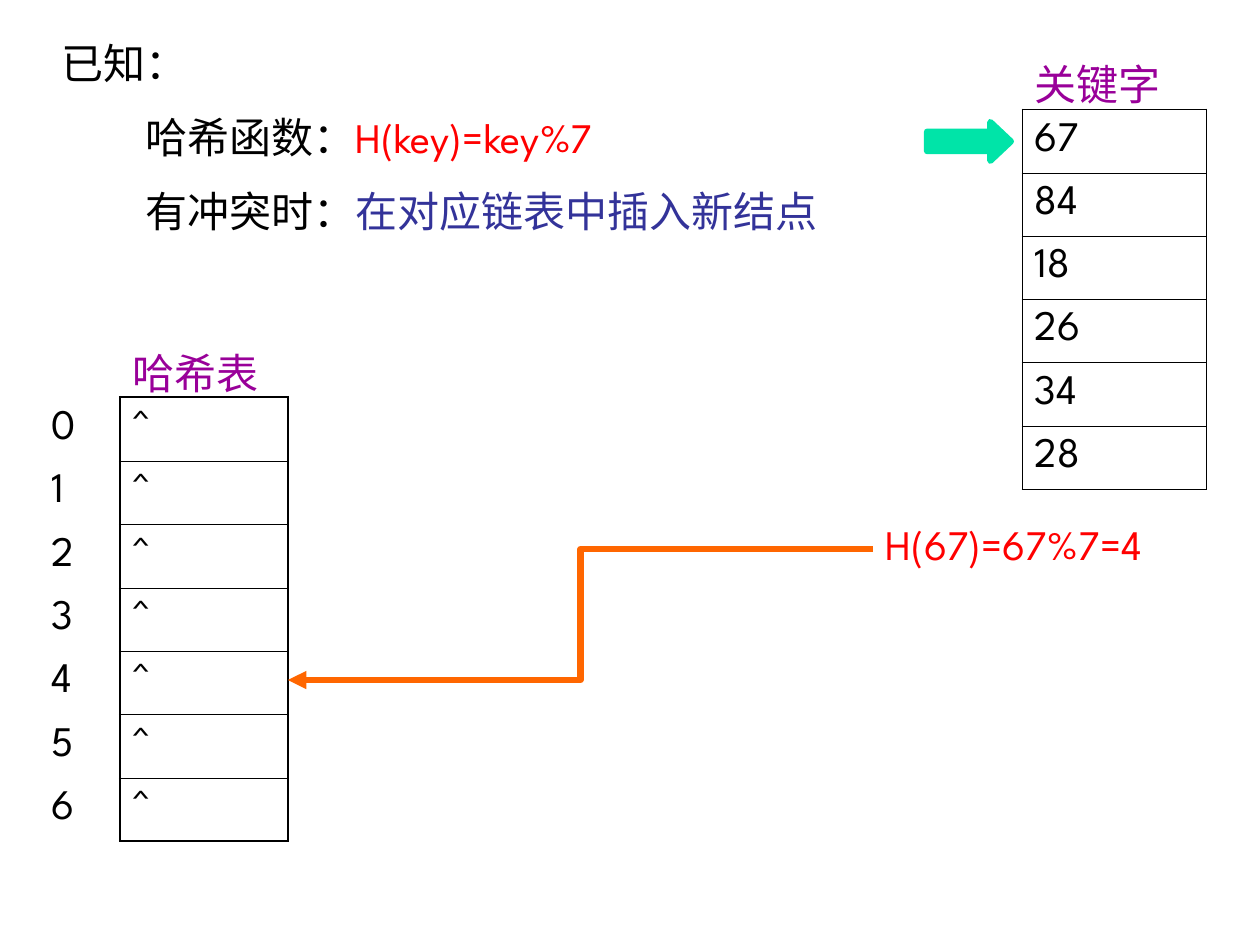
from lxml import etree
from pptx import Presentation, util as u
from pptx.dml.color import RGBColor
from pptx.enum import shapes, text
from pptx.oxml.ns import qn

PX = 914400 // 126
FONT = "League Spartan"
COLORS = {"black": "000000", "red": "FF0000", "blue": "333399", "purple": "990099",
          "green": "00E4A8", "orange": "FF6600"}
THIN, THICK = 0.45, 1.47


def px(*values):
    return [u.Emu(v * PX) for v in values]


def rgb(name):
    return RGBColor.from_string(COLORS[name])


def add_run(p, content, color):
    r = p.add_run()
    r.text = content
    r.font.name = FONT
    r.font.size = u.Pt(24)
    r.font.color.rgb = rgb(color)


def add_line_of_text(s, box, runs, indent=0):
    tf = s.shapes.add_textbox(*px(*box)).text_frame
    tf.word_wrap = True
    p = tf.paragraphs[0]
    p.alignment = text.PP_ALIGN.JUSTIFY
    if indent:
        p._p.get_or_add_pPr().set("marL", str(indent * PX))
    for content, color in runs:
        add_run(p, content, color)


def set_borders(cell, widths):
    tcPr = cell._tc.get_or_add_tcPr()
    for i, side in enumerate("LRTB"):
        ln = etree.Element(qn(f"a:ln{side}"))
        if side in widths:
            ln.set("w", str(u.Pt(widths[side])))
            fill = etree.SubElement(ln, qn("a:solidFill"))
            etree.SubElement(fill, qn("a:srgbClr")).set("val", COLORS["black"])
        else:
            etree.SubElement(ln, qn("a:noFill"))
        tcPr.insert(i, ln)


def add_grid(s, box, widths, rows, frame):
    n, boxed = len(rows), len(widths) - 1
    table = s.shapes.add_table(n, len(widths), *px(*box)).table
    table.first_row = table.horz_banding = False
    for c, width in enumerate(widths):
        table.columns[c].width = px(width)[0]
    for i, values in enumerate(rows):
        table.rows[i].height = px(round((i + 1) * box[3] / n) - round(i * box[3] / n))[0]
        for c, value in enumerate(values):
            cell = table.cell(i, c)
            cell.fill.background()
            cell.vertical_anchor = text.MSO_ANCHOR.MIDDLE
            if value:
                add_run(cell.text_frame.paragraphs[0], value, "black" if i else "purple")
            if c == boxed:
                borders = {"L": frame, "R": frame, "T": frame if i == 1 else THIN,
                           "B": frame if i == n - 1 else THIN} if i else {"B": frame}
            else:
                borders = {"R": frame} if i else {}
            set_borders(cell, borders)


def add_givens(s, box):
    x, y, w, h = box
    lines = [([("已知：", "black")], 0),
             ([("哈希函数：", "black"), ("H(key)=key%7", "red")], 84),
             ([("有冲突时：", "black"), ("在对应链表中插入新结点", "blue")], 84)]
    step = h // len(lines)
    for i, (runs, indent) in enumerate(lines):
        add_line_of_text(s, (x, y + i * step, w, step), runs, indent)


def add_keys(s, box):
    x, y, w, h = box
    keys = [67, 84, 18, 26, 34, 28]
    add_grid(s, box, [w], [["关键字"]] + [[str(k)] for k in keys], THIN)
    sp = s.shapes.add_shape(shapes.MSO_SHAPE.RIGHT_ARROW, *px(x - 95, y + 76, 84, 39))
    sp.adjustments[0], sp.adjustments[1] = 0.5, 0.53
    sp.shadow.inherit = False
    sp.fill.solid()
    sp.fill.fore_color.rgb = rgb("green")
    sp.line.color.rgb = rgb("green")
    sp.line.width = u.Pt(3.5)


def add_hash_table(s, box):
    rows = [["", "哈希表"]] + [[str(i), "^"] for i in range(7)]
    add_grid(s, box, [81, box[2] - 81], rows, THICK)


def add_step(s, box, target):
    x, y, w, h = box
    add_line_of_text(s, box, [("H(67)=67%7=4", "red")])
    link = s.shapes.add_connector(shapes.MSO_CONNECTOR.ELBOW, *px(x, y + h // 2, *target))
    link.line.color.rgb = rgb("orange")
    link.line.width = u.Pt(3.5)
    etree.SubElement(link.line._get_or_add_ln(), qn("a:tailEnd")).set("type", "triangle")
    etree.SubElement(link._element.spPr, qn("a:effectLst"))


def main():
    prs = Presentation()
    prs.slide_width, prs.slide_height = u.Inches(10), u.Inches(7.5)
    s = prs.slides.add_slide(prs.slide_layouts[6])
    add_givens(s, (49, 31, 799, 222))
    add_keys(s, (1022, 46, 184, 443))
    add_hash_table(s, (39, 334, 249, 507))
    add_step(s, (873, 512, 333, 74), (288, 680))
    prs.save("out.pptx")


if __name__ == "__main__":
    main()
